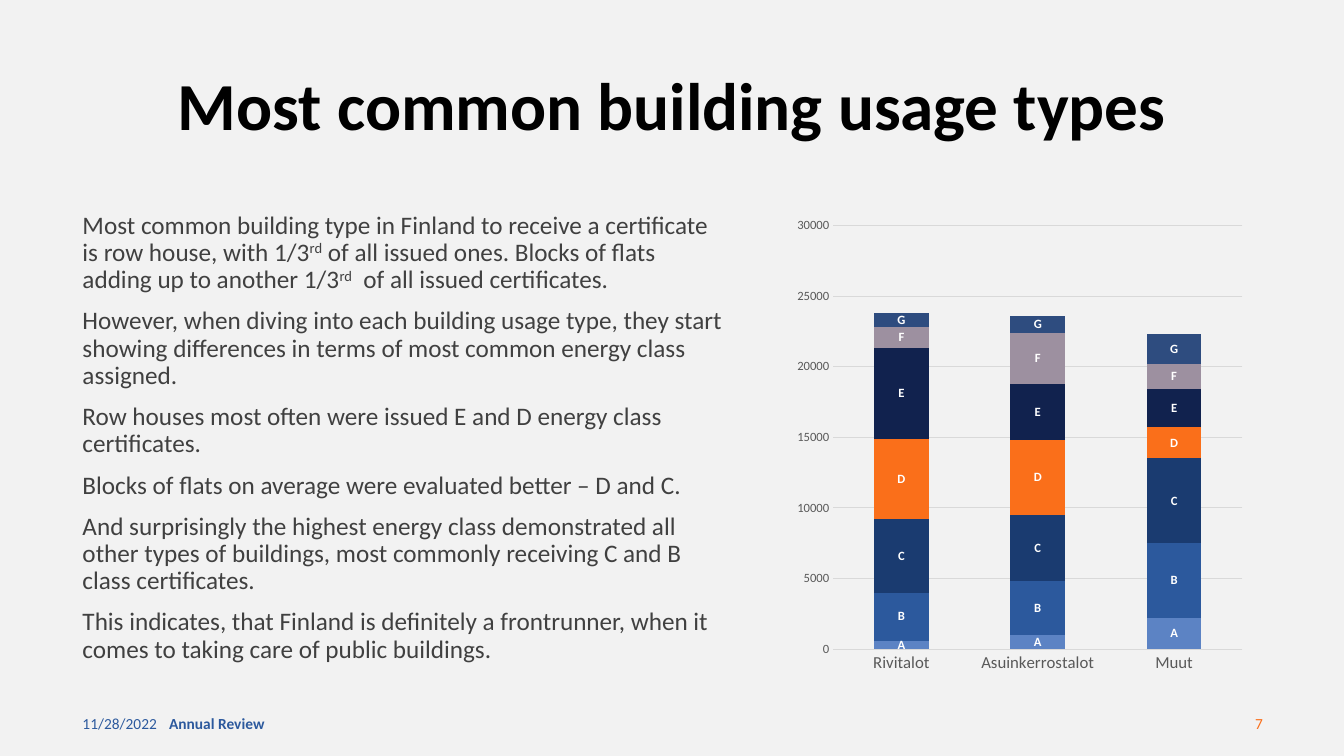
from pptx import Presentation
from pptx.chart.data import CategoryChartData
from pptx.dml.color import RGBColor
from pptx.enum.chart import XL_CHART_TYPE, XL_LABEL_POSITION, XL_TICK_MARK
from pptx.enum.text import MSO_ANCHOR, PP_ALIGN
from pptx.util import Cm, Pt

FACE = "Calibri"


def style(font, size, color, bold=False):
    font.name = FACE
    font.size = Pt(size)
    font.bold = bold
    font.color.rgb = RGBColor.from_string(color)


def add_text(box, paras, size, color, bold=False, align=PP_ALIGN.LEFT,
             anchor=MSO_ANCHOR.MIDDLE, line=1.0, before=0):
    """Add a text box; every second part between carets is superscript."""
    frame = slide.shapes.add_textbox(*map(Cm, box)).text_frame
    frame.word_wrap = True
    frame.vertical_anchor = anchor
    for i, text in enumerate(paras):
        para = frame.add_paragraph() if i else frame.paragraphs[0]
        para.alignment = align
        para.line_spacing = line
        para.space_before = Pt(before)
        for j, part in enumerate(text.split("^")):
            run = para.add_run()
            run.text = part
            style(run.font, size, color, bold)
            if j % 2:
                run._r.get_or_add_rPr().set("baseline", "30000")


deck = Presentation()
deck.slide_width, deck.slide_height = Cm(33.87), Cm(19.05)
slide = deck.slides.add_slide(deck.slide_layouts[6])
slide.background.fill.solid()
slide.background.fill.fore_color.rgb = RGBColor.from_string("F2F2F2")

# Footer
add_text((1.83, 17.73, 7.62, 1.02), ["11/28/2022"], 11, "2C599D")
add_text((4.01, 17.73, 11.43, 1.02), ["Annual Review"], 11, "2C599D", bold=True)
add_text((24.46, 17.73, 7.62, 1.02), ["7"], 11, "FA6F1A", align=PP_ALIGN.RIGHT)

# Title and body
add_text((2.34, 1.75, 29.21, 1.96), ["Most common building usage types"],
         48, "000000", bold=True, align=PP_ALIGN.CENTER, line=0.9)
body = [
    "Most common building type in Finland to receive a certificate is row "
    "house, with 1/3^rd^ of all issued ones. Blocks of flats adding up to "
    "another 1/3^rd^  of all issued certificates.",
    "However, when diving into each building usage type, they start showing "
    "differences in terms of most common energy class assigned.",
    "Row houses most often were issued E and D energy class certificates.",
    "Blocks of flats on average were evaluated better – D and C.",
    "And surprisingly the highest energy class demonstrated all other types "
    "of buildings, most commonly receiving C and B class certificates.",
    "This indicates, that Finland is definitely a frontrunner, when it comes "
    "to taking care of public buildings.",
]
add_text((1.83, 5.23, 16.79, 9.88), body, 18, "404040",
         anchor=MSO_ANCHOR.TOP, line=0.9, before=10)

# Certificates by energy class
classes = [
    ("A", "5C83C4", (600, 1000, 2200)),
    ("B", "2C599D", (3400, 3800, 5300)),
    ("C", "1A3B70", (5200, 4700, 6000)),
    ("D", "FA6F1A", (5700, 5300, 2200)),
    ("E", "11224E", (6400, 4000, 2700)),
    ("F", "9D90A0", (1500, 3600, 1800)),
    ("G", "2E4C7F", (1000, 1200, 2100)),
]
data = CategoryChartData()
data.categories = ["Rivitalot", "Asuinkerrostalot", "Muut"]
for name, color, counts in classes:
    data.add_series(name, counts)
chart = slide.shapes.add_chart(
    XL_CHART_TYPE.COLUMN_STACKED,
    Cm(19.86), Cm(5.26), Cm(11.68), Cm(11.94), data).chart
style(chart.font, 10, "000000")
chart.has_legend = False
chart.has_title = False

plot = chart.plots[0]
plot.gap_width = 150
plot.overlap = 100
plot.vary_by_categories = False
for series, (name, color, counts) in zip(plot.series, classes):
    series.format.fill.solid()
    series.format.fill.fore_color.rgb = RGBColor.from_string(color)
    labels = series.data_labels
    labels.show_series_name = True
    labels.show_value = False
    labels.position = XL_LABEL_POSITION.CENTER
    style(labels.font, 9, "FFFFFF", bold=True)

groups, scale = chart.category_axis, chart.value_axis
for axis, size in ((groups, 12), (scale, 9)):
    axis.major_tick_mark = axis.minor_tick_mark = XL_TICK_MARK.NONE
    style(axis.tick_labels.font, size, "595959")
scale.minimum_scale, scale.maximum_scale, scale.major_unit = 0, 30000, 5000
scale.has_major_gridlines = True
scale.format.line.fill.background()
for rule in (groups.format.line, scale.major_gridlines.format.line):
    rule.width = Pt(0.75)
    rule.color.rgb = RGBColor.from_string("D9D9D9")

deck.save("out.pptx")
